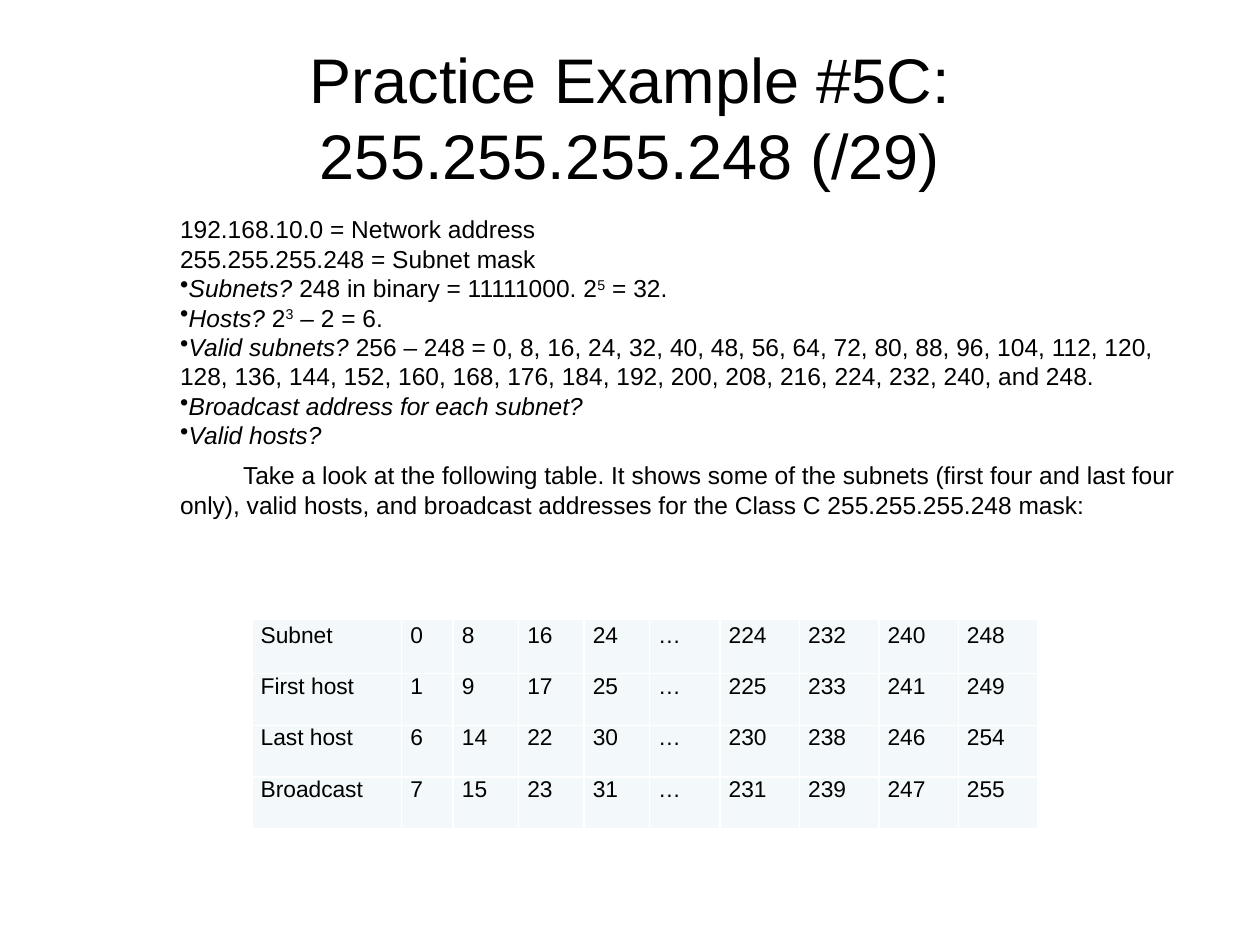
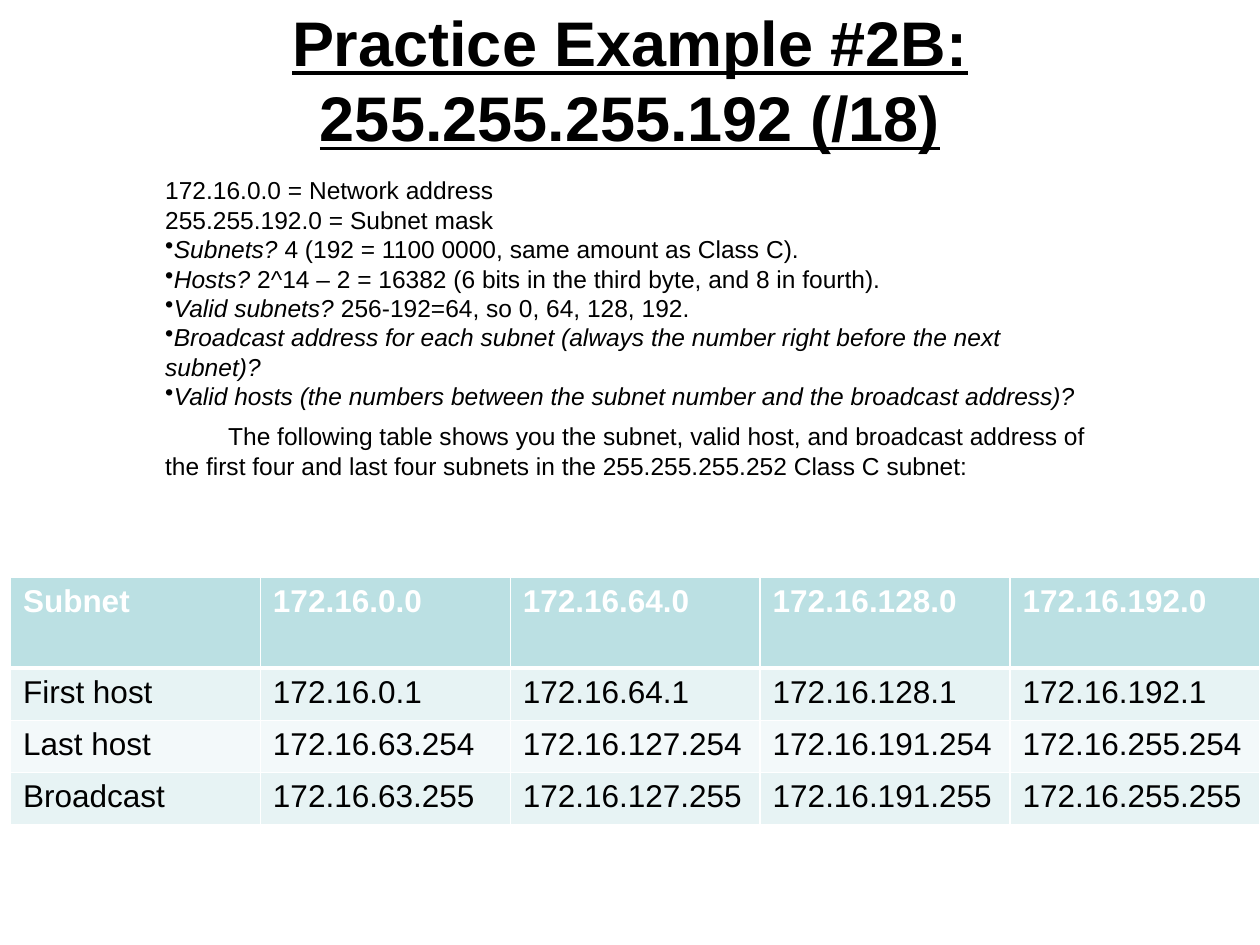
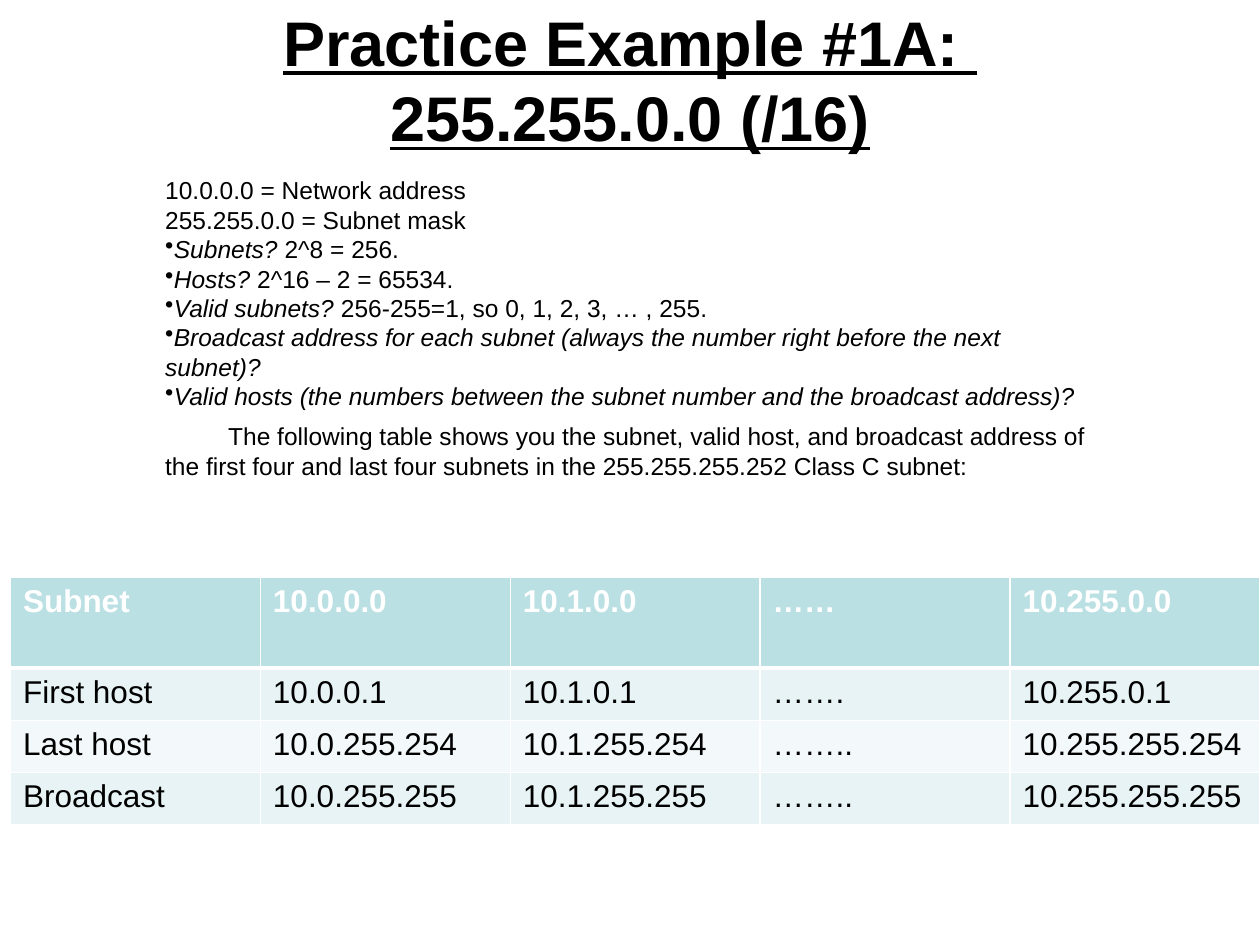
from dataclasses import dataclass
from typing import NamedTuple

from lxml.etree import SubElement as Sub
from pptx import Presentation as Deck
from pptx.dml.color import RGBColor as Rgb
from pptx.enum.text import MSO_ANCHOR as Anchor, PP_ALIGN as Align
from pptx.oxml.ns import qn
from pptx.util import Pt

FACE = "Arial"
BLACK, WHITE = "000000", "FFFFFF"
TEAL, MIST, PALE = "BBE0E3", "E7F3F4", "F3F9FA"
LABELS = ["Subnet", "First host", "Last host", "Broadcast"]


class Box(NamedTuple):
    left: float
    top: float
    width: float
    height: float


class Point(NamedTuple):
    ask: str
    reply: str = ""
    power: str = ""
    rest: str = ""


@dataclass
class Grid:
    left: float
    top: float
    cols: list[float]
    rows: list[float]
    fills: list[str]
    size: float
    pad: tuple[float, float]
    head: bool
    lead: float


@dataclass
class Page:
    title: str
    strong: bool
    body: Box
    facts: list[str]
    points: list[Point]
    outro: str
    grid: Grid
    hosts: list[list[str]]


TITLE = Box(36, 21.6, 648, 90)
NOTES = Box(87.3, 95.8, 545.8, 183)
SMALL = Grid(144, 354, [85.5, 29.5, *[37.4] * 3, 40.3, *[45.4] * 4],
             [31, *[29.5] * 3], [PALE] * 4, 13, (5, 0), False, 1.15)
WIDE = Grid(6, 329.8, [142.8] * 5, [52, *[29.8] * 3],
            [TEAL, MIST, PALE, MIST], 18, (7.2, 3.6), True, 1)
TAIL = [
    Point("Broadcast address for each subnet (always the number right before the next subnet)?"),
    Point("Valid hosts (the numbers between the subnet number and the broadcast address)?"),
]
OUTRO = ("The following table shows you the subnet, valid host, and broadcast address of "
         "the first four and last four subnets in the 255.255.255.252 Class C subnet:")


def paint(hue: str) -> Rgb:
    return Rgb.from_string(hue)


def style(para, size: float, hue: str = BLACK, bold: bool = False, line: bool = False) -> None:
    for run in para.runs:
        font = run.font
        font.name, font.size = FACE, Pt(size)
        font.bold, font.underline = bold, line
        font.color.rgb = paint(hue)


def frame(slide, box: Box):
    text = slide.shapes.add_textbox(*map(Pt, box)).text_frame
    text.word_wrap = True
    text.vertical_anchor = Anchor.MIDDLE
    return text


def head(slide, page: Page) -> None:
    text = frame(slide, TITLE)
    if page.strong:
        text.margin_bottom = Pt(46.6)
    text.text = page.title
    para = text.paragraphs[0]
    para.alignment = Align.CENTER
    style(para, 36, bold=page.strong, line=page.strong)


def bullet(para, point: Point) -> None:
    props = para._p.get_or_add_pPr()
    props.set("marL", "0")
    props.set("indent", "0")
    Sub(props, qn("a:buChar")).set("char", "•")
    para.text = point.ask
    para.runs[0].font.italic = True
    for part in filter(None, point[1:]):
        run = para.add_run()
        run.text = part
        if part == point.power:
            run._r.get_or_add_rPr().set("baseline", "30000")


def notes(slide, page: Page) -> None:
    text = frame(slide, page.body)
    text.text = "\n".join(page.facts)
    for point in page.points:
        bullet(text.add_paragraph(), point)
    last = text.add_paragraph()
    last.text = page.outro
    last.space_before = Pt(6)
    last._p.get_or_add_pPr().set("indent", str(Pt(36)))
    for para in text.paragraphs:
        style(para, 14)


def edge(cell, top: float, base: float) -> None:
    props = cell._tc.get_or_add_tcPr()
    for side, width in zip("LRTB", (1, 1, top, base)):
        line = Sub(props, qn(f"a:ln{side}"), w=str(Pt(width)))
        Sub(Sub(line, qn("a:solidFill")), qn("a:srgbClr"), val=WHITE)


def table(slide, grid: Grid, hosts: list[list[str]]) -> None:
    box = Box(grid.left, grid.top, sum(grid.cols), sum(grid.rows))
    item = slide.shapes.add_table(len(grid.rows), len(grid.cols), *map(Pt, box)).table
    item.first_row, item.horz_banding = grid.head, False
    for col, width in zip(item.columns, grid.cols):
        col.width = Pt(width)
    for r, (label, vals) in enumerate(zip(LABELS, hosts)):
        item.rows[r].height = Pt(grid.rows[r])
        top = grid.head and r == 0
        for c, word in enumerate([label, *vals]):
            cell = item.cell(r, c)
            edge(cell, 3 if grid.head and r == 1 else 1, 3 if top else 1)
            cell.fill.solid()
            cell.fill.fore_color.rgb = paint(grid.fills[r])
            cell.margin_left = cell.margin_right = Pt(grid.pad[0])
            cell.margin_top = cell.margin_bottom = Pt(grid.pad[1])
            cell.text = word
            para = cell.text_frame.paragraphs[0]
            if r == 0:
                para.line_spacing = grid.lead
            style(para, grid.size, WHITE if top else BLACK, top)


PAGES = [
    Page(
        "Practice Example #5C: 255.255.255.248 (/29)", False,
        Box(95.8, 118, 588.2, 183),
        ["192.168.10.0 = Network address", "255.255.255.248 = Subnet mask"],
        [
            Point("Subnets?", " 248 in binary = 11111000. 2", "5", " = 32."),
            Point("Hosts?", " 2", "3", " – 2 = 6."),
            Point("Valid subnets?", " 256 – 248 = "
                  + ", ".join(map(str, range(0, 248, 8))) + ", and 248."),
            Point("Broadcast address for each subnet?"),
            Point("Valid hosts?"),
        ],
        "Take a look at the following table. It shows some of the subnets (first four and "
        "last four only), valid hosts, and broadcast addresses for the Class C "
        "255.255.255.248 mask:",
        SMALL,
        [[*(str(n + step) for n in range(0, 32, 8)), "…",
          *(str(n + step) for n in range(224, 256, 8))] for step in (0, 1, 6, 7)],
    ),
    Page(
        "Practice Example #2B: 255.255.255.192 (/18)", True, NOTES,
        ["172.16.0.0 = Network address", "255.255.192.0 = Subnet mask"],
        [
            Point("Subnets? ", "4 (192 = 1100 0000, same amount as Class C)."),
            Point("Hosts?", " 2^14 – 2 = 16382 (6 bits in the third byte, and 8 in fourth)."),
            Point("Valid subnets?", " 256-192=64, so 0, 64, 128, 192."),
            *TAIL,
        ],
        OUTRO, WIDE,
        [[f"172.16.{n + step}.{end}" for n in range(0, 256, 64)]
         for step, end in ((0, 0), (0, 1), (63, 254), (63, 255))],
    ),
    Page(
        "Practice Example #1A: \v255.255.0.0 (/16)", True, NOTES,
        ["10.0.0.0 = Network address", "255.255.0.0 = Subnet mask"],
        [
            Point("Subnets? ", "2^8 = 256."),
            Point("Hosts?", " 2^16 – 2 = 65534."),
            Point("Valid subnets?", " 256-255=1, so 0, 1, 2, 3, … , 255."),
            *TAIL,
        ],
        OUTRO, WIDE,
        [[f"10.0.{end}", f"10.1.{end}", dots, f"10.255.{end}"]
         for end, dots in (("0.0", "……"), ("0.1", "……."),
                           ("255.254", "…….."), ("255.255", "…….."))],
    ),
]


def main() -> None:
    deck = Deck()
    deck.slide_width, deck.slide_height = Pt(720), Pt(540)
    for page in PAGES:
        slide = deck.slides.add_slide(deck.slide_layouts[6])
        head(slide, page)
        notes(slide, page)
        table(slide, page.grid, page.hosts)
    deck.save("out.pptx")


if __name__ == "__main__":
    main()
